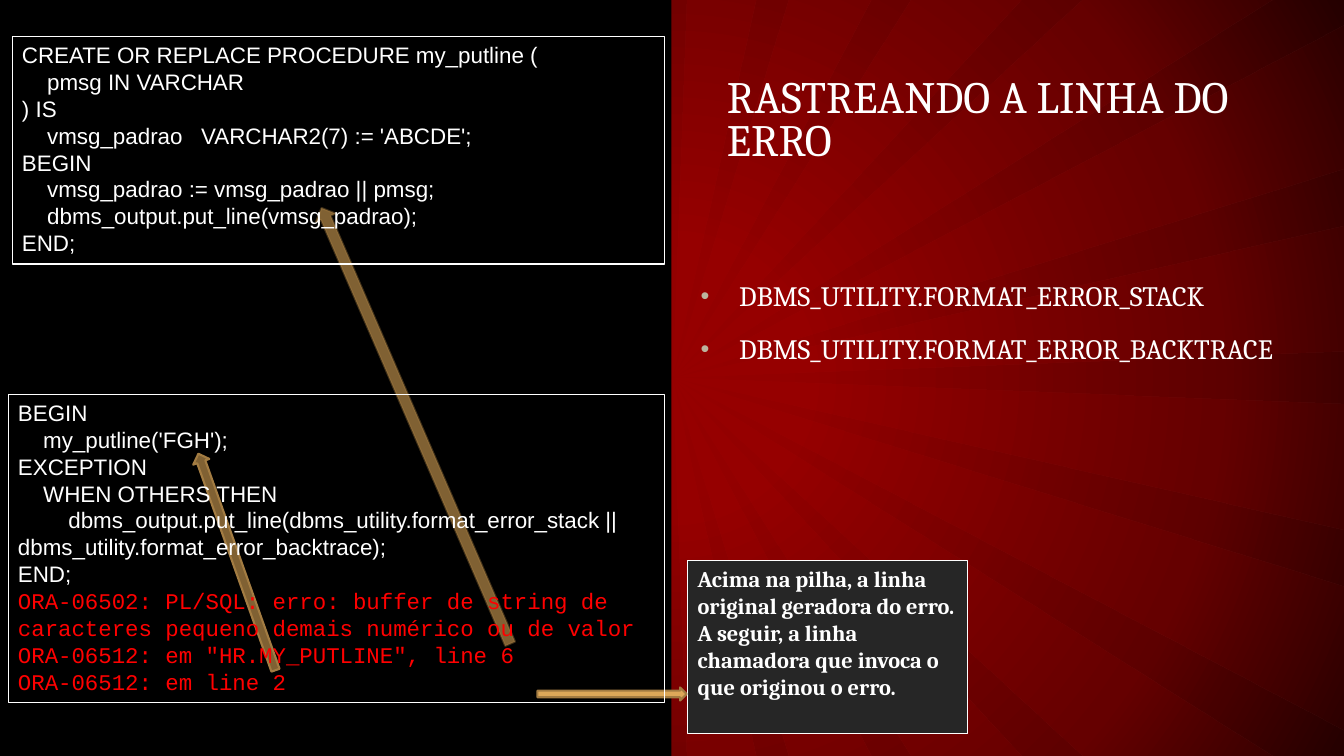
from lxml.etree import SubElement
from pptx import Presentation
from pptx.dml.color import RGBColor
from pptx.enum.shapes import MSO_SHAPE as Preset
from pptx.enum.text import MSO_ANCHOR as Anchor, MSO_AUTO_SIZE as AutoSize, PP_ALIGN as Align
from pptx.oxml.ns import qn
from pptx.util import Emu, Pt

PX = 9144
WIDTH, HEIGHT = 1333, 750
HUB = (667, 375)

PROCEDURE = [
    (0, "CREATE OR REPLACE PROCEDURE my_putline ("),
    (1, "pmsg IN VARCHAR"),
    (0, ") IS"),
    (1, "vmsg_padrao   VARCHAR2(7) := 'ABCDE';"),
    (0, "BEGIN"),
    (1, "vmsg_padrao := vmsg_padrao || pmsg;"),
    (1, "dbms_output.put_line(vmsg_padrao);"),
    (0, "END;"),
]
CALLER = [
    (0, "BEGIN"),
    (1, "my_putline('FGH');"),
    (0, "EXCEPTION"),
    (1, "WHEN OTHERS THEN"),
    (2, "dbms_output.put_line(dbms_utility.format_error_stack || "
        "dbms_utility.format_error_backtrace);"),
    (0, "END;"),
]
ERRORS = [
    "ORA-06502: PL/SQL: erro: buffer de string de caracteres pequeno demais numérico ou de valor",
    'ORA-06512: em "HR.MY_PUTLINE", line 6',
    "ORA-06512: em line 2",
]
NOTES = [
    "Acima na pilha, a linha original geradora do erro.",
    "A seguir, a linha chamadora que invoca o que originou o erro.",
]
FUNCTIONS = ["DBMS_UTILITY.FORMAT_ERROR_STACK", "DBMS_UTILITY.FORMAT_ERROR_BACKTRACE"]


def px(*lengths):
    """Turn px lengths into EMU."""
    return [Emu(length * PX) for length in lengths]


def paint(color_format, color):
    """Set a colour from a hex string."""
    color_format.rgb = RGBColor.from_string(color)


def fill_solid(fill, color):
    """Fill with one colour."""
    fill.solid()
    paint(fill.fore_color, color)


def fade(properties, percent):
    """Make the solid fill directly inside the properties translucent."""
    color = properties.find(qn("a:solidFill"))[0]
    SubElement(color, qn("a:alpha"), val=str(percent * 1000))


def fill_radial(properties, stops):
    """Replace the solid fill by a radial gradient of (position, colour, opacity) stops."""
    solid = properties.find(qn("a:solidFill"))
    gradient = SubElement(properties, qn("a:gradFill"), rotWithShape="1")
    properties.replace(solid, gradient)
    stop_list = SubElement(gradient, qn("a:gsLst"))
    for position, color, opacity in stops:
        stop = SubElement(stop_list, qn("a:gs"), pos=str(position * 1000))
        tint = SubElement(stop, qn("a:srgbClr"), val=color)
        if opacity < 100:
            SubElement(tint, qn("a:alpha"), val=str(opacity * 1000))
    circle = SubElement(gradient, qn("a:path"), path="circle")
    SubElement(circle, qn("a:fillToRect"), dict.fromkeys("ltrb", "50000"))


def set_font(para, name, size, color, bold=False):
    """Set the font of a whole paragraph."""
    font = para.font
    font.name, font.size, font.bold = name, Pt(size), bold
    paint(font.color, color)


def add_paragraphs(frame, texts):
    """Write one paragraph per text and return the paragraphs."""
    start = len(frame.paragraphs) if frame.text else 0
    for text in texts:
        para = frame.add_paragraph() if frame.text else frame.paragraphs[0]
        para.text = text
    return frame.paragraphs[start:]


def draw_backdrop(page):
    """Draw the red glow, its dark rays and the black code panel."""
    fill_solid(page.background.fill, "960000")
    glow = [(17, "960000", 100), (71, "650000", 100), (100, "290000", 100)]
    fill_radial(page.element.find(".//" + qn("p:bgPr")), glow)

    columns = [(260, 319), (430, 469), (551, 582), (652, 681),
               (750, 782), (864, 903), (1013, 1073)]
    rows = [(168, 224), (349, 401), (526, 582)]
    edges = [[(left, y), (right, y)] for left, right in columns for y in (0, HEIGHT)]
    edges += [[(x, top), (x, bottom)] for top, bottom in rows for x in (0, WIDTH)]
    edges += [[(abs(x - 71), y), (x, y), (x, abs(y - 25))]
              for x in (0, WIDTH) for y in (0, HEIGHT)]
    builder = page.shapes.build_freeform(*HUB, scale=PX)
    for number, edge in enumerate(edges):
        if number:
            builder.move_to(*HUB)
        builder.add_line_segments(edge, close=True)
    rays = builder.convert_to_shape()
    rays.shadow.inherit = False
    rays.line.fill.background()
    fill_solid(rays.fill, "000000")
    fill_radial(rays.element.spPr, [(0, "000000", 1), (100, "000000", 10)])

    panel = page.shapes.add_shape(Preset.RECTANGLE, *px(0, 0, 666, HEIGHT))
    panel.shadow.inherit = False
    panel.line.fill.background()
    fill_solid(panel.fill, "000000")


def draw_arrow(page, box, rotation=0, opacity=100, edge="A37C42", edge_opacity=100):
    """Draw a golden block arrow."""
    arrow = page.shapes.add_shape(Preset.RIGHT_ARROW, *px(*box))
    arrow.shadow.inherit = False
    arrow.rotation = rotation
    fill_solid(arrow.fill, "DDA859")
    fill_solid(arrow.line.fill, edge)
    arrow.line.width = Pt(1.5)
    properties = arrow.element.spPr
    if opacity < 100:
        fade(properties, opacity)
    if edge_opacity < 100:
        fade(properties.find(qn("a:ln")), edge_opacity)


def draw_frame(page, box):
    """Draw a white-edged text box and return it."""
    shape = page.shapes.add_textbox(*px(*box))
    shape.text_frame.word_wrap = True
    fill_solid(shape.line.fill, "FFFFFF")
    shape.line.width = Pt(0.75)
    return shape


def draw_code(page, box, code, errors=()):
    """Draw a code listing with its error output."""
    frame = draw_frame(page, box).text_frame
    for para, (depth, _) in zip(add_paragraphs(frame, [line for _, line in code]), code):
        para._p.get_or_add_pPr().set("indent", str(depth * 25 * PX))
        set_font(para, "Arial", 16, "FFFFFF")
    for para in add_paragraphs(frame, errors):
        set_font(para, "Courier New", 16, "FF0000")


def draw_note(page, box):
    """Draw the dark explanatory note."""
    note = draw_frame(page, box)
    fill_solid(note.fill, "262626")
    for para in add_paragraphs(note.text_frame, NOTES):
        set_font(para, "Cambria", 16, "FFFFFF", bold=True)


def place_holder(page, holder, box, anchor):
    """Move a placeholder to the front and its box, and return its text frame."""
    page.shapes._spTree.append(holder.element)
    holder.left, holder.top, holder.width, holder.height = px(*box)
    frame = holder.text_frame
    frame.auto_size, frame.word_wrap, frame.vertical_anchor = AutoSize.NONE, True, anchor
    frame.margin_left, frame.margin_right, frame.margin_top, frame.margin_bottom = px(13, 13, 7, 7)
    return frame


def write_title(page, box):
    """Write the slide title."""
    frame = place_holder(page, page.shapes.title, box, Anchor.BOTTOM)
    for para in add_paragraphs(frame, ["RASTREANDO A LINHA DO ERRO"]):
        para.alignment, para.line_spacing = Align.LEFT, 0.8
        set_font(para, "Cambria", 32, "FFFFFF")


def write_functions(page, box):
    """Write the bulleted list of functions."""
    frame = place_holder(page, page.placeholders[1], box, Anchor.TOP)
    for para in add_paragraphs(frame, FUNCTIONS):
        para.line_spacing, para.space_before = 0.9, Pt(16)
        properties = para._p.get_or_add_pPr()
        properties.set("marL", str(38 * PX))
        properties.set("indent", str(-38 * PX))
        SubElement(SubElement(properties, qn("a:buClr")), qn("a:srgbClr"), val="BCB49E")
        SubElement(properties, qn("a:buSzPct"), val="90000")
        SubElement(properties, qn("a:buFont"), typeface="Arial")
        SubElement(properties, qn("a:buChar"), char="•")
        set_font(para, "Cambria", 20, "FFFFFF")


def main():
    """Build and save the slide."""
    deck = Presentation()
    deck.slide_width, deck.slide_height = px(WIDTH, HEIGHT)
    page = deck.slides.add_slide(deck.slide_layouts[1])
    draw_backdrop(page)
    draw_arrow(page, (121, 549, 228, 17), 250.4, 58)
    draw_arrow(page, (177, 412, 471, 21), 246.6, 58, "A27A3F", 39)
    write_title(page, (708, 25, 589, 146))
    write_functions(page, (682, 273, 622, 150))
    draw_code(page, (12, 36, 647, 226), PROCEDURE)
    draw_note(page, (682, 556, 278, 172))
    draw_arrow(page, (533, 682, 148, 13))
    draw_code(page, (8, 391, 651, 306), CALLER, ERRORS)
    deck.save("out.pptx")


if __name__ == "__main__":
    main()
